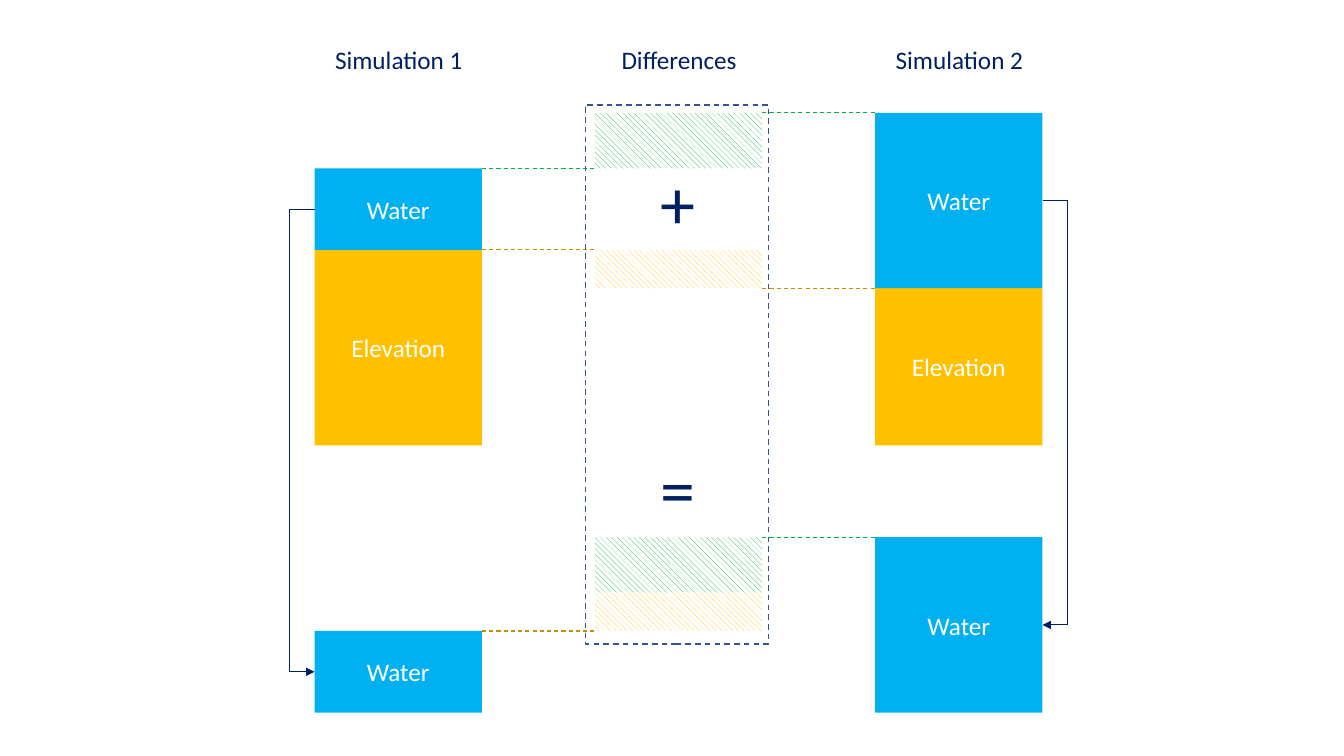
from pptx import Presentation
from pptx.dml.color import RGBColor
from pptx.enum.dml import MSO_LINE, MSO_PATTERN
from pptx.enum.shapes import MSO_CONNECTOR, MSO_SHAPE
from pptx.enum.text import MSO_ANCHOR, MSO_AUTO_SIZE, PP_ALIGN
from pptx.oxml.ns import qn
from pptx.util import Inches, Pt
from lxml import etree

RECTANGLE = MSO_SHAPE.RECTANGLE
STRAIGHT = MSO_CONNECTOR.STRAIGHT
DASH = MSO_LINE.DASH
HATCH = MSO_PATTERN.WIDE_DOWNWARD_DIAGONAL
MIDDLE, TOP = MSO_ANCHOR.MIDDLE, MSO_ANCHOR.TOP
CENTER, LEFT = PP_ALIGN.CENTER, PP_ALIGN.LEFT

WATER, ELEVATION, NAVY, WHITE = "00B0F0", "FFC000", "002060", "FFFFFF"
GREEN, OCHRE, FRAME = "00B050", "BF9000", "325491"

# Grid: three columns, and the levels where blocks begin and end
COLUMN, STEP = 1.66, 2.78
SIM1, DIFF, SIM2 = [3.12 + STEP * i for i in range(3)]
TOP2, TOP1, BED1, BED2, BASE = 1.12, 1.67, 2.48, 2.86, 4.42
RESULT2, SPLIT, RESULT1, BOTTOM = 5.33, 5.88, 6.26, 7.07
ELBOW = 0.25

deck = Presentation()
deck.slide_width, deck.slide_height = Inches(13.33), Inches(7.5)
page = deck.slides.add_slide(deck.slide_layouts[6])


def color(value):
    return RGBColor.from_string(value)


def write(box, text, size=18, ink=NAVY, align=CENTER, anchor=MIDDLE,
          wrap=True, grow=False):
    frame = box.text_frame
    frame.word_wrap = wrap
    frame.vertical_anchor = anchor
    if grow:
        frame.auto_size = MSO_AUTO_SIZE.SHAPE_TO_FIT_TEXT
    para = frame.paragraphs[0]
    para.alignment = align
    span = para.add_run()
    span.text = text
    span.font.name, span.font.size = "Calibri", Pt(size)
    span.font.color.rgb = color(ink)


# Water and elevation blocks
for left, top, bottom, text, paint in [
    (SIM1, BED1, BASE, "Elevation", ELEVATION),
    (SIM1, TOP1, BED1, "Water", WATER),
    (SIM2, BED2, BASE, "Elevation", ELEVATION),
    (SIM2, TOP2, BED2, "Water", WATER),
    (SIM1, RESULT1, BOTTOM, "Water", WATER),
    (SIM2, RESULT2, BOTTOM, "Water", WATER),
]:
    block = page.shapes.add_shape(RECTANGLE, Inches(left), Inches(top),
                                  Inches(COLUMN), Inches(bottom - top))
    block.shadow.inherit = False
    block.fill.solid()
    block.fill.fore_color.rgb = color(paint)
    block.line.fill.background()
    write(block, text, ink=WHITE)

# Hatched differences; the two at the bottom form one group
total = page.shapes.add_group_shape()
for parent, top, bottom, paint in [
    (page, TOP2, TOP1, GREEN),
    (page, BED1, BED2, ELEVATION),
    (total, RESULT2, SPLIT, GREEN),
    (total, SPLIT, RESULT1, ELEVATION),
]:
    difference = parent.shapes.add_shape(RECTANGLE, Inches(DIFF), Inches(top),
                                         Inches(COLUMN), Inches(bottom - top))
    difference.shadow.inherit = False
    difference.fill.patterned()
    difference.fill.pattern = HATCH
    difference.fill.fore_color.rgb = color(paint)
    difference.fill.back_color.rgb = color(WHITE)
    difference.line.fill.background()

# Dashed level lines between the columns
lines = []
for start, level, paint in [
    (SIM1, TOP1, GREEN), (DIFF, TOP2, GREEN), (SIM1, BED1, OCHRE),
    (DIFF, BED2, OCHRE), (SIM1, RESULT1, OCHRE), (DIFF, RESULT2, GREEN),
]:
    lines.append((start + COLUMN, level, start + STEP, level, paint, DASH, False))

# Elbow arrows from each water block to its result
for edge, side, start, end in [
    (SIM1, -ELBOW, (TOP1 + BED1) / 2, (RESULT1 + BOTTOM) / 2),
    (SIM2 + COLUMN, ELBOW, (TOP2 + BED2) / 2, (RESULT2 + BOTTOM) / 2),
]:
    spine = edge + side
    lines += [(edge, start, spine, start, NAVY, None, False),
              (spine, start, spine, end, NAVY, None, False),
              (spine, end, edge, end, NAVY, None, True)]

for x1, y1, x2, y2, paint, dash, arrow in lines:
    line = page.shapes.add_connector(STRAIGHT, Inches(x1), Inches(y1),
                                     Inches(x2), Inches(y2))
    line.line.color.rgb = color(paint)
    line.line.width = Pt(0.75)
    if dash:
        line.line.dash_style = dash
    if arrow:
        tip = etree.SubElement(line.line._get_or_add_ln(), qn("a:tailEnd"))
        tip.set("type", "triangle")
    etree.SubElement(line._element.spPr, qn("a:effectLst"))

# Column headings
for left, text in [(SIM1, "Simulation 1"), (SIM2, "Simulation 2"),
                   (DIFF, "Differences")]:
    heading = page.shapes.add_textbox(Inches(left + 0.09), Inches(0.39),
                                      Inches(1.49), Inches(0.4))
    write(heading, text, anchor=TOP, wrap=False, grow=True)

# Dashed frame around the differences
frame_box = page.shapes.add_shape(RECTANGLE, Inches(5.81), Inches(1.04),
                                  Inches(1.81), Inches(5.35))
frame_box.shadow.inherit = False
frame_box.fill.background()
frame_box.line.color.rgb = color(FRAME)
frame_box.line.width = Pt(1)
frame_box.line.dash_style = DASH

# Operators
for top, sign in [(1.53, "+"), (4.37, "=")]:
    operator = page.shapes.add_textbox(Inches(6.45), Inches(top),
                                       Inches(0.53), Inches(0.94))
    write(operator, sign, size=50, align=LEFT, wrap=False, grow=True)

deck.save("out.pptx")
